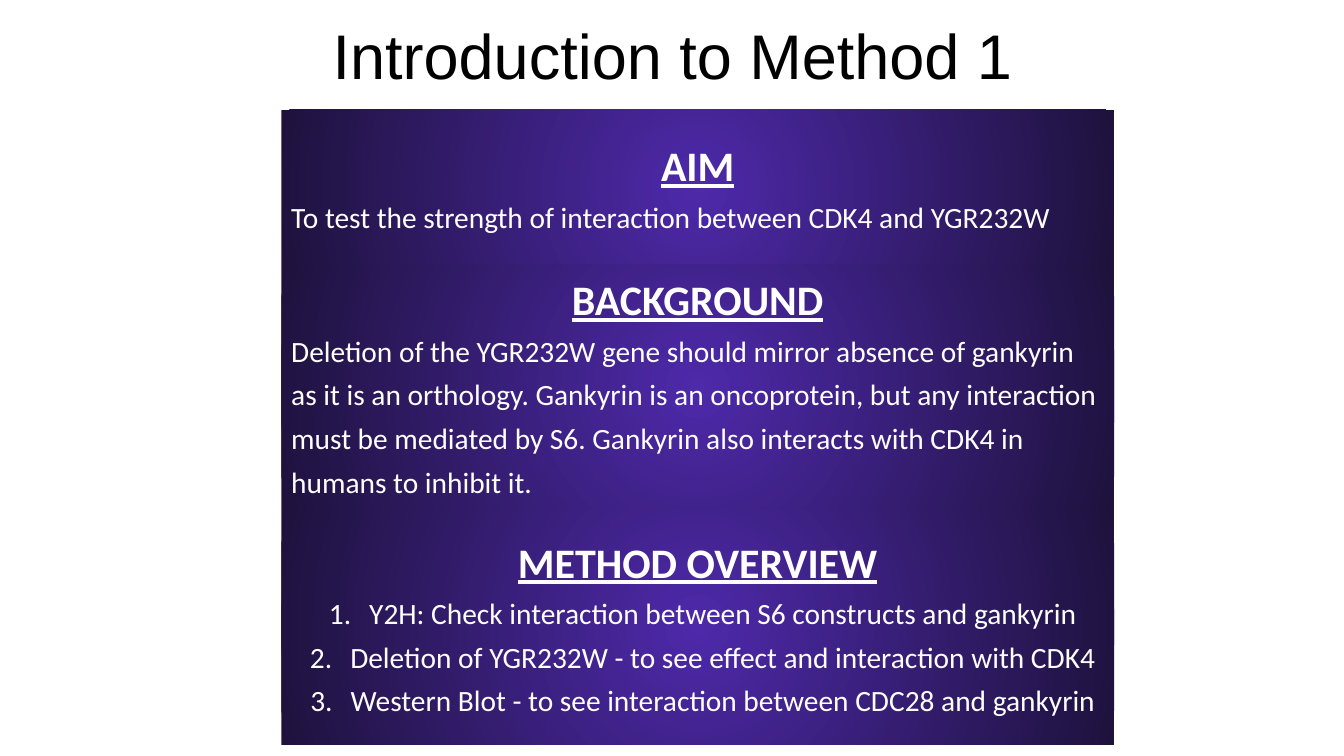
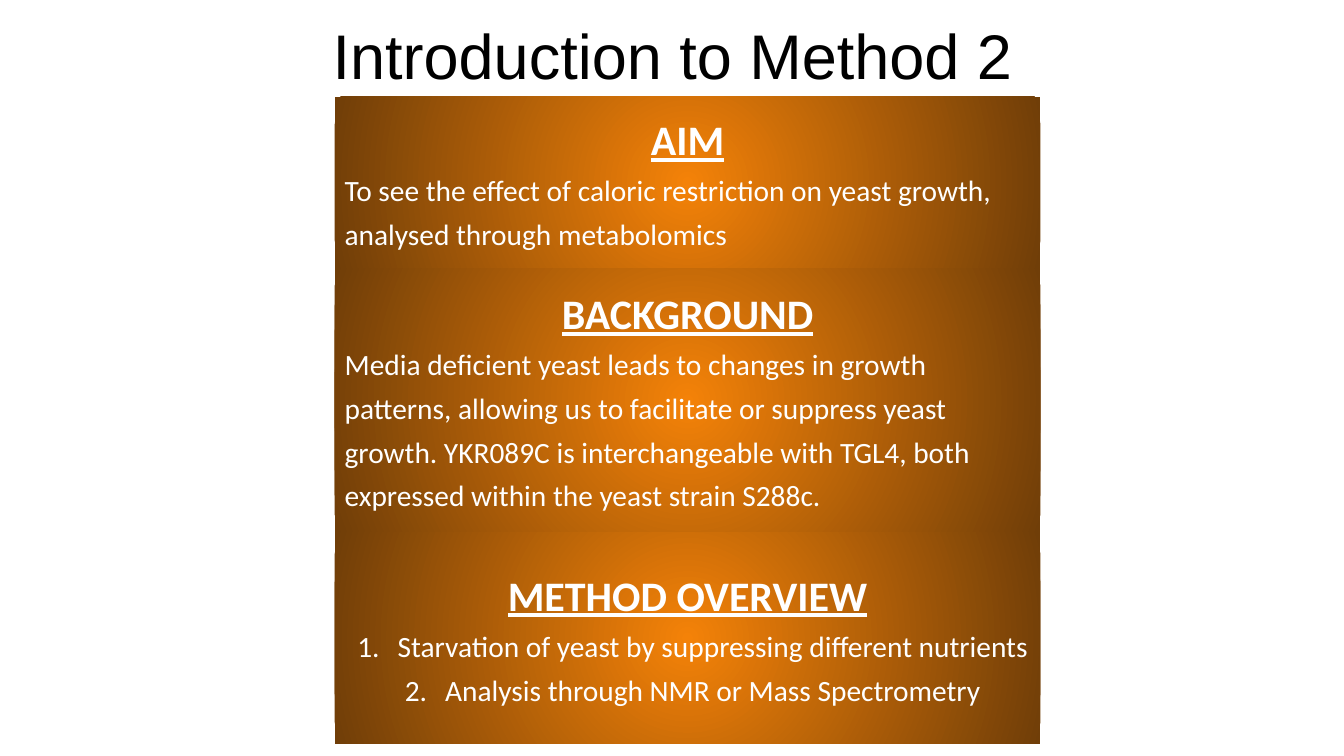
from lxml import etree
from pptx import Presentation
from pptx.dml.color import RGBColor
from pptx.enum.shapes import MSO_SHAPE
from pptx.enum.text import MSO_ANCHOR, PP_ALIGN
from pptx.oxml import parse_xml
from pptx.oxml.ns import nsdecls, qn
from pptx.util import Inches, Pt

COLORS = {"title": "000000", "text": "FFFFFF"}
TITLE_FONT, BODY_FONT = "Arial", "Calibri"
TITLE_BOX = (0.52, -0.04, 12.3, 1.25)

METHODS = [
    {
        "title": "Introduction to Method 1",
        "gradient": ("4E29AA", "1E123D"),
        "box": (2.79, 1.09, 8.26),
        "heights": (1.53, 2.43, 2.34),
        "aim": "To test the strength of interaction between CDK4 and YGR232W",
        "background": "Deletion of the YGR232W gene should mirror absence of gankyrin "
                      "as it is an orthology. Gankyrin is an oncoprotein, but any "
                      "interaction must be mediated by S6. Gankyrin also interacts "
                      "with CDK4 in humans to inhibit it.",
        "steps": ["Y2H: Check interaction between S6 constructs and gankyrin",
                  "Deletion of YGR232W - to see effect and interaction with CDK4",
                  "Western Blot - to see interaction between CDC28 and gankyrin"],
    },
    {
        "title": "Introduction to Method 2",
        "gradient": ("F48208", "703E08"),
        "box": (3.32, 0.96, 7),
        "heights": (1.7, 2.62, 2.1),
        "aim": "To see the effect of caloric restriction on yeast growth, "
               "analysed through metabolomics",
        "background": "Media deficient yeast leads to changes in growth patterns, "
                      "allowing us to facilitate or suppress yeast growth. YKR089C is "
                      "interchangeable with TGL4, both expressed within the yeast "
                      "strain S288c.",
        "steps": ["Starvation of yeast by suppressing different nutrients",
                  "Analysis through NMR or Mass Spectrometry"],
    },
]


def write(p, text, size, font, color, align, spacing=1.0, heading=False):
    p.text = text
    p.alignment = align
    p.line_spacing = spacing
    for r in p.runs:
        r.font.size = Pt(size)
        r.font.name = font
        r.font.color.rgb = RGBColor.from_string(COLORS[color])
        r.font.bold = r.font.underline = heading


def number(p):
    pPr = p._p.get_or_add_pPr()
    pPr.set("marL", str(Inches(0.5)))
    pPr.set("indent", str(Inches(-0.4)))
    color = etree.SubElement(pPr, qn("a:buClr"))
    etree.SubElement(color, qn("a:srgbClr"), val=COLORS["text"])
    etree.SubElement(pPr, qn("a:buAutoNum"), type="arabicPeriod")


def fill_radial(sp, colors):
    sp.fill.gradient()
    for stop, color in zip(sp.fill.gradient_stops, colors):
        stop.color.rgb = RGBColor.from_string(color)
    lin = sp._element.spPr.find(".//" + qn("a:lin"))
    lin.getparent().replace(lin, parse_xml(
        f'<a:path {nsdecls("a")} path="circle">'
        '<a:fillToRect l="50000" t="50000" r="50000" b="50000"/></a:path>'))


def add_title(slide, text):
    tf = slide.shapes.add_textbox(*map(Inches, TITLE_BOX)).text_frame
    tf.word_wrap = True
    tf.vertical_anchor = MSO_ANCHOR.MIDDLE
    write(tf.paragraphs[0], text, 45, TITLE_FONT, "title", PP_ALIGN.CENTER, 0.9)


def add_band(slide, box, gradient, heading, lines, numbered):
    sp = slide.shapes.add_shape(MSO_SHAPE.RECTANGLE, *map(Inches, box))
    sp.shadow.inherit = False
    sp.line.fill.background()
    fill_radial(sp, gradient)
    tf = sp.text_frame
    tf.word_wrap = True
    tf.vertical_anchor = MSO_ANCHOR.MIDDLE
    write(tf.paragraphs[0], heading, 30, BODY_FONT, "text", PP_ALIGN.CENTER, heading=True)
    for line in lines:
        p = tf.add_paragraph()
        if numbered:
            number(p)
        align = PP_ALIGN.CENTER if numbered else PP_ALIGN.LEFT
        write(p, line, 21, BODY_FONT, "text", align, 1.24)


def add_method_slide(prs, method):
    slide = prs.slides.add_slide(prs.slide_layouts[6])
    add_title(slide, method["title"])
    bands = [("AIM", [method["aim"]], False),
             ("BACKGROUND", [method["background"]], False),
             ("METHOD OVERVIEW", method["steps"], True)]
    left, top, width = method["box"]
    for band, height in zip(bands, method["heights"]):
        add_band(slide, (left, top, width, height), method["gradient"], *band)
        top += height


def main():
    prs = Presentation()
    prs.slide_width, prs.slide_height = Inches(13.33), Inches(7.5)
    for method in METHODS:
        add_method_slide(prs, method)
    prs.save("out.pptx")


if __name__ == "__main__":
    main()
